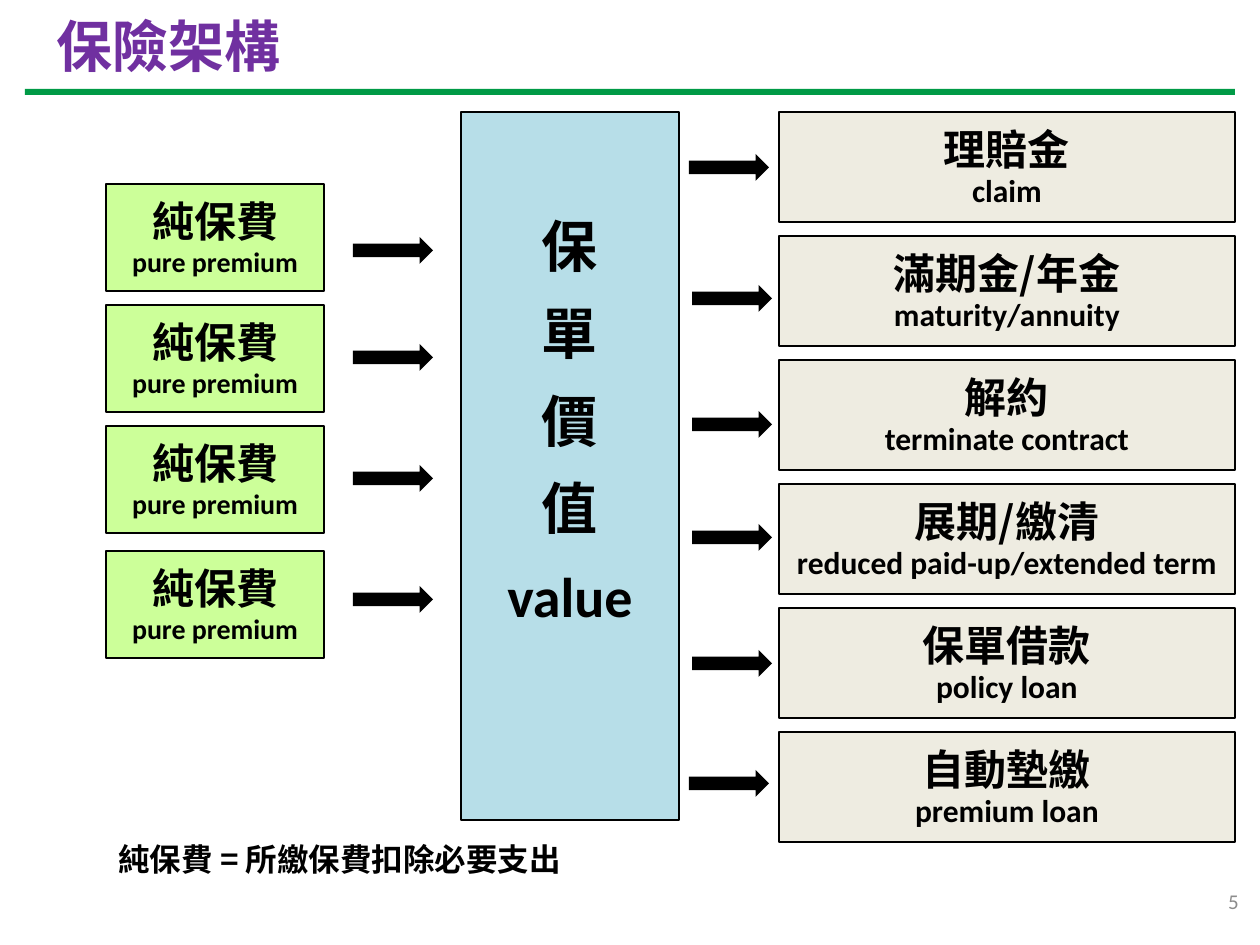
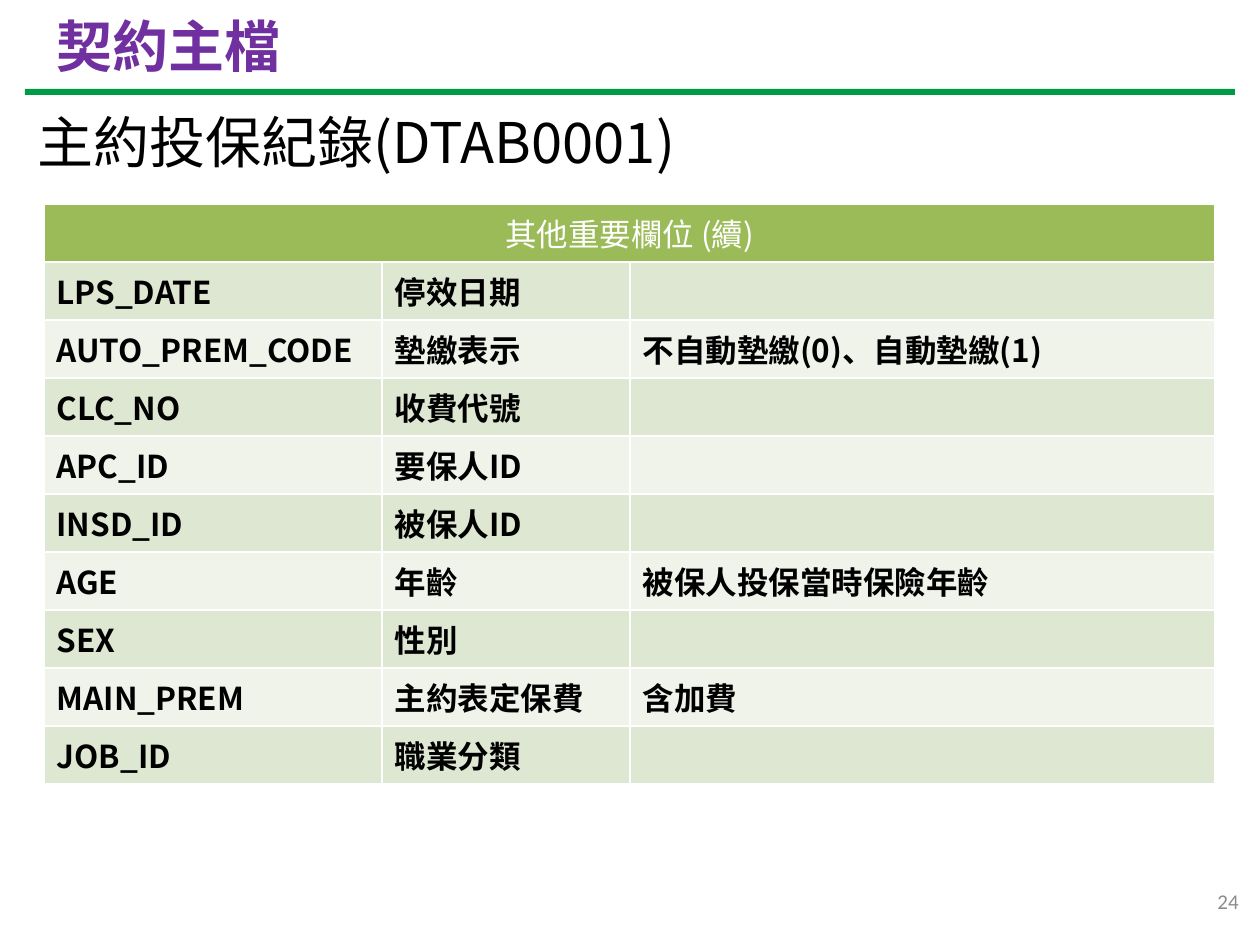
"""Build two slides on insurance structure and the contract master file."""
from typing import NamedTuple

from lxml import etree
from pptx import Presentation
from pptx.dml.color import RGBColor
from pptx.enum.shapes import MSO_SHAPE
from pptx.enum.text import MSO_ANCHOR, MSO_AUTO_SIZE, PP_ALIGN
from pptx.oxml.ns import qn
from pptx.util import Emu, Pt

RECTANGLE, ARROW = MSO_SHAPE.RECTANGLE, MSO_SHAPE.RIGHT_ARROW
LEFT, CENTER, RIGHT = PP_ALIGN.LEFT, PP_ALIGN.CENTER, PP_ALIGN.RIGHT
TOP, MIDDLE = MSO_ANCHOR.TOP, MSO_ANCHOR.MIDDLE
NO_AUTOFIT = MSO_AUTO_SIZE.NONE
EMU_PER_PX = 914400 / 126
TITLE_ONLY = 5
CJK, LATIN = "Noto Sans CJK SC", "Calibri"
BLACK, WHITE, GRAY = "000000", "FFFFFF", "8C8C8C"
PURPLE, RULE_GREEN = "7030A0", "009A46"
PREMIUM_GREEN, VALUE_BLUE, BENEFIT_BEIGE = "CCFF99", "B7DEE8", "EEECE1"
HEADER_GREEN, BANDS = "9BBB59", ("DEE7D1", "EFF3EA")


class Area(NamedTuple):
    """A rectangle in px."""
    left: int
    top: int
    width: int
    height: int


class Card(NamedTuple):
    """A bilingual box with the place of its arrow."""
    area: Area
    chinese: str
    english: str
    arrow_left: int
    arrow_top: int


PREMIUMS = [
    Card(Area(106, top, 218, 107), "純保費", "pure premium", 353, arrow_top)
    for top, arrow_top in ((184, 237), (305, 344), (426, 465), (551, 586))
]
BENEFIT_ROWS = [
    ("理賠金", "claim", 689, 154),
    ("滿期金/年金", "maturity/annuity", 692, 285),
    ("解約", "terminate contract", 692, 411),
    ("展期/繳清", "reduced paid-up/extended term", 692, 524),
    ("保單借款", "policy loan", 692, 650),
    ("自動墊繳", "premium loan", 689, 770),
]
BENEFITS = [
    Card(Area(779, 112 + 124 * index, 456, 110), *row)
    for index, row in enumerate(BENEFIT_ROWS)
]
TABLE_TITLE = "其他重要欄位 (續)"
FIELDS = [
    ("LPS_DATE", "停效日期", ""),
    ("AUTO_PREM_CODE", "墊繳表示", "不自動墊繳(0)、自動墊繳(1)"),
    ("CLC_NO", "收費代號", ""),
    ("APC_ID", "要保人ID", ""),
    ("INSD_ID", "被保人ID", ""),
    ("AGE", "年齡", "被保人投保當時保險年齡"),
    ("SEX", "性別", ""),
    ("MAIN_PREM", "主約表定保費", "含加費"),
    ("JOB_ID", "職業分類", ""),
]
COLUMN_WIDTHS = (338, 248, 585)
ROW_HEIGHT = 58


def px(length: int) -> Emu:
    """Turn px into EMU."""
    return Emu(round(length * EMU_PER_PX))


def color(value: str) -> RGBColor:
    """Turn a hex string into a colour."""
    return RGBColor.from_string(value)


def place(area: Area) -> tuple[Emu, ...]:
    """Give the EMU values of an area."""
    return tuple(px(length) for length in area)


def write(frame, text: str, *, size: int, font: str = CJK, ink: str = BLACK,
          bold: bool = False, align=LEFT, spacing: float = 0) -> None:
    """Add one paragraph of formatted text, with exact line spacing if given."""
    para = frame.paragraphs[-1]
    if para.runs:
        para = frame.add_paragraph()
    para.alignment = align
    if spacing:
        para.line_spacing = Pt(spacing)
    span = para.add_run()
    span.text = text
    span.font.size = Pt(size)
    span.font.bold = bold
    span.font.color.rgb = color(ink)
    span.font.name = font
    etree.SubElement(span.font._element, qn("a:ea"), typeface=font)


def add_text(page, area: Area, text: str, **style) -> None:
    """Add a wrapped, vertically centred text box."""
    frame = page.shapes.add_textbox(*place(area)).text_frame
    frame.word_wrap = True
    frame.vertical_anchor = MIDDLE
    write(frame, text, **style)


def add_block(page, kind, area: Area, fill: str, outlined: bool = False):
    """Add a flat shape and return its text frame."""
    box = page.shapes.add_shape(kind, *place(area))
    box.shadow.inherit = False
    box.fill.solid()
    box.fill.fore_color.rgb = color(fill)
    if outlined:
        box.line.color.rgb = color(BLACK)
        box.line.width = Pt(0.75)
    else:
        box.line.fill.background()
    box.text_frame.word_wrap = True
    box.text_frame.vertical_anchor = TOP
    return box.text_frame


def add_card(page, card: Card, fill: str, size: int, spacing: float) -> None:
    """Draw a bilingual box and its arrow."""
    frame = add_block(page, RECTANGLE, card.area, fill, outlined=True)
    write(frame, card.chinese, size=24, bold=True, align=CENTER, spacing=32)
    write(frame, card.english, size=size, font=LATIN, bold=True, align=CENTER,
          spacing=spacing)
    add_block(page, ARROW, Area(card.arrow_left, card.arrow_top, 80, 27), BLACK)


def add_page(deck, title: str, number: int):
    """Add a slide with title, green rule and page number."""
    page = deck.slides.add_slide(deck.slide_layouts[TITLE_ONLY])
    heading = page.shapes.title
    heading.left, heading.top, heading.width, heading.height = place(
        Area(44, 6, 1171, 78))
    heading.text_frame.auto_size = NO_AUTOFIT
    heading.text_frame.vertical_anchor = MIDDLE
    write(heading.text_frame, title, size=32, ink=PURPLE, bold=True)
    add_block(page, RECTANGLE, Area(25, 89, 1210, 6), RULE_GREEN)
    add_text(page, Area(958, 876, 293, 50), str(number), size=12, font=LATIN,
             ink=GRAY, align=RIGHT)
    return page


def format_cell(cell, fill: str) -> None:
    """Give a cell its fill, anchor and white borders."""
    cell.vertical_anchor = MIDDLE
    properties = cell._tc.get_or_add_tcPr()
    for side in ("lnL", "lnR", "lnT", "lnB"):
        border = etree.SubElement(properties, qn(f"a:{side}"), w=str(Pt(1)))
        paint = etree.SubElement(border, qn("a:solidFill"))
        etree.SubElement(paint, qn("a:srgbClr"), val=WHITE)
    cell.fill.solid()
    cell.fill.fore_color.rgb = color(fill)


def add_field_table(page) -> None:
    """Draw the table of contract fields."""
    row_count = len(FIELDS) + 1
    area = Area(44, 204, sum(COLUMN_WIDTHS), ROW_HEIGHT * row_count)
    table = page.shapes.add_table(row_count, len(COLUMN_WIDTHS), *place(area)).table
    table.horz_banding = False
    for column, width in zip(table.columns, COLUMN_WIDTHS):
        column.width = px(width)
    for cell in table.rows[0].cells:
        format_cell(cell, HEADER_GREEN)
    header = table.cell(0, 0)
    header.merge(table.cell(0, len(COLUMN_WIDTHS) - 1))
    write(header.text_frame, TABLE_TITLE, size=18, ink=WHITE, align=CENTER)
    for row, field in enumerate(FIELDS, start=1):
        for column, text in enumerate(field):
            cell = table.cell(row, column)
            format_cell(cell, BANDS[(row - 1) % 2])
            if text:
                write(cell.text_frame, text, size=18, bold=True)


def add_structure_page(deck) -> None:
    """Show premiums flowing into policy value and out as benefits."""
    page = add_page(deck, "保險架構", 5)
    for card in PREMIUMS:
        add_card(page, card, PREMIUM_GREEN, size=16, spacing=18)
    frame = add_block(page, RECTANGLE, Area(461, 112, 218, 708), VALUE_BLUE,
                      outlined=True)
    frame.margin_top = px(79)
    for text in (*"保單價值", "value"):
        write(frame, text, size=32, font=LATIN if text == "value" else CJK,
              bold=True, align=CENTER, spacing=50)
    for card in BENEFITS:
        add_card(page, card, BENEFIT_BEIGE, size=18, spacing=19.5)
    add_text(page, Area(106, 834, 505, 50), "純保費 = 所繳保費扣除必要支出",
             size=18, bold=True)


def add_contract_page(deck) -> None:
    """Show the fields of the main contract record."""
    page = add_page(deck, "契約主檔", 24)
    add_text(page, Area(25, 96, 983, 91), "主約投保紀錄(DTAB0001)", size=32)
    add_field_table(page)


def main() -> None:
    """Build and save the deck."""
    deck = Presentation()
    deck.slide_width, deck.slide_height = px(1260), px(945)
    add_structure_page(deck)
    add_contract_page(deck)
    deck.save("out.pptx")


if __name__ == "__main__":
    main()
